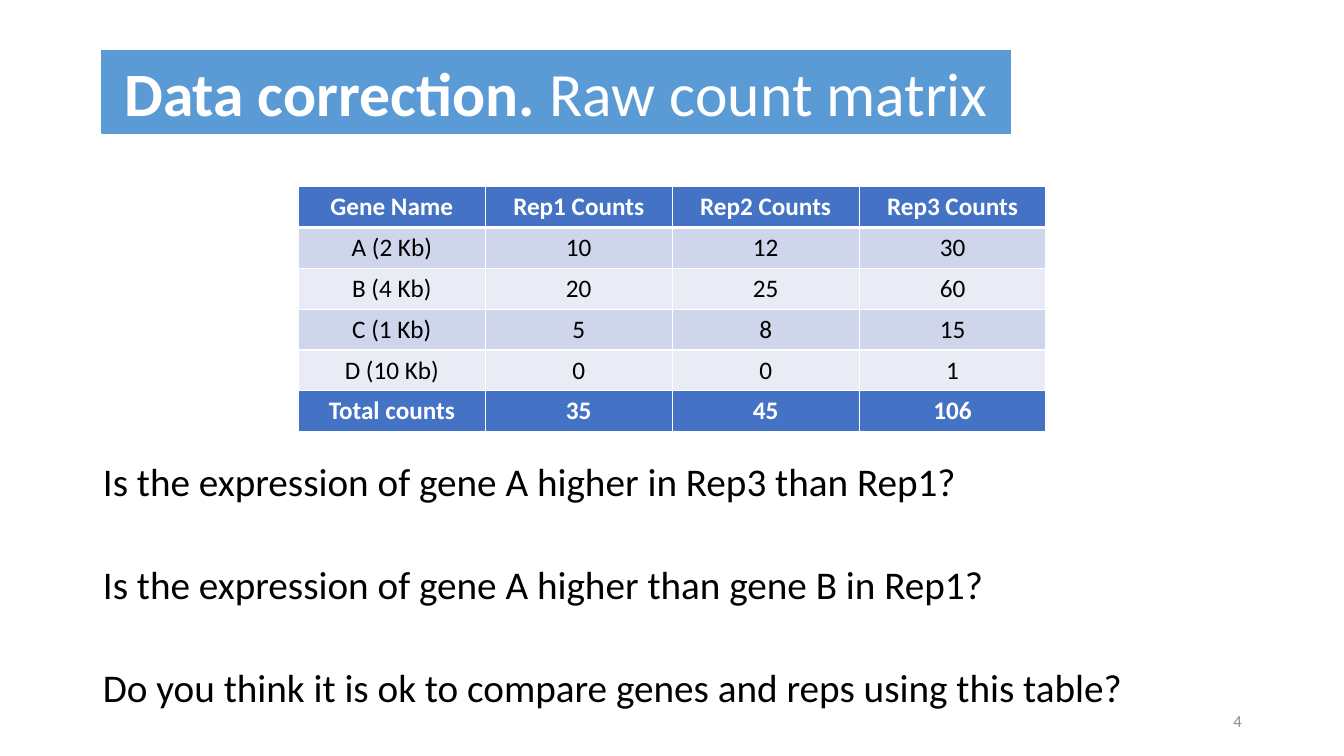
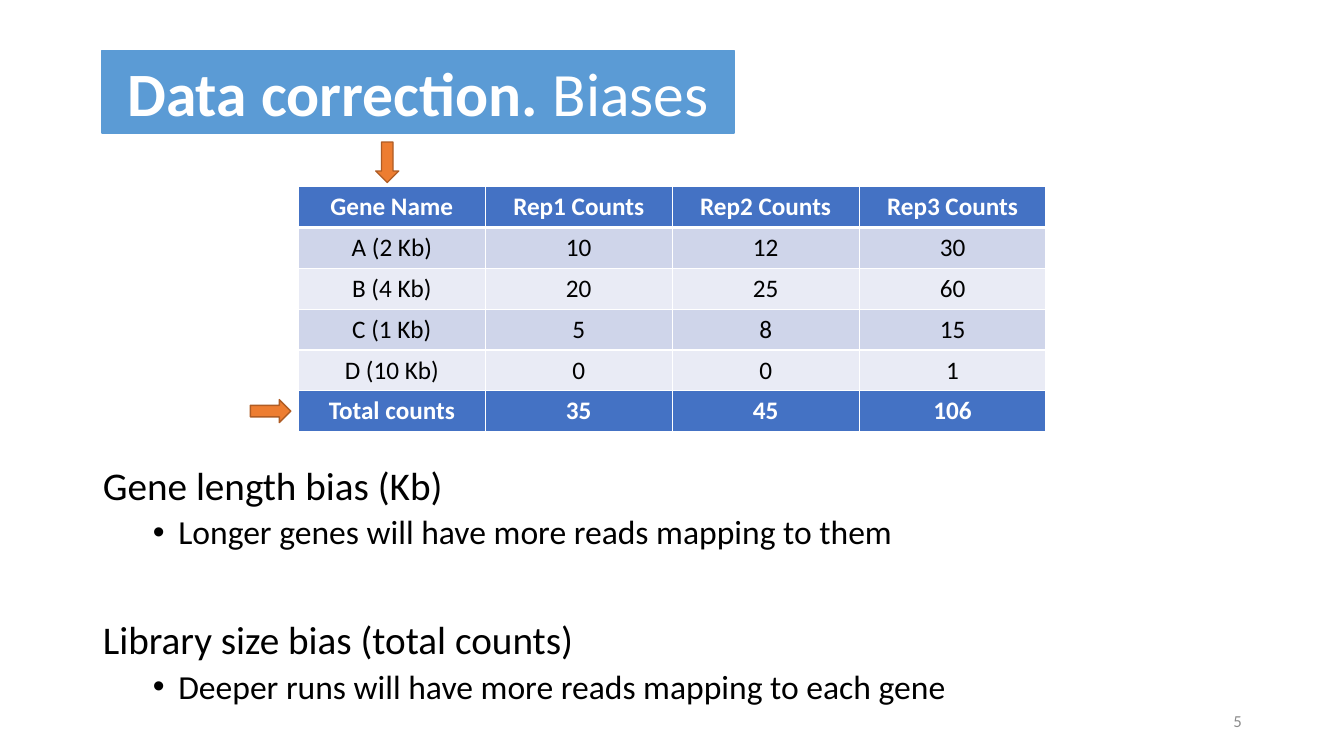
import dataclasses
import typing

import lxml.etree
import pptx
import pptx.dml.color
import pptx.enum.shapes
import pptx.enum.text
import pptx.oxml.ns
import pptx.util

Cm = pptx.util.Cm
Pt = pptx.util.Pt
RGBColor = pptx.dml.color.RGBColor
MSO_SHAPE = pptx.enum.shapes.MSO_SHAPE
PP_ALIGN = pptx.enum.text.PP_ALIGN
MSO_ANCHOR = pptx.enum.text.MSO_ANCHOR
MSO_AUTO_SIZE = pptx.enum.text.MSO_AUTO_SIZE
qn = pptx.oxml.ns.qn

# Shared colours and text formats
WHITE = RGBColor(0xFF, 0xFF, 0xFF)
BLACK = RGBColor(0x00, 0x00, 0x00)
GREY = RGBColor(0x8C, 0x8C, 0x8C)
TITLE_BLUE = RGBColor(0x5B, 0x9B, 0xD5)
TABLE_BLUE = RGBColor(0x44, 0x72, 0xC4)
BAND_DARK = RGBColor(0xCF, 0xD5, 0xEA)
BAND_LIGHT = RGBColor(0xE9, 0xEB, 0xF5)
ORANGE = RGBColor(0xED, 0x7D, 0x31)
ORANGE_LINE = RGBColor(0xAF, 0x5C, 0x24)

FONT = "Calibri"
TITLE_FORMAT = {"name": FONT, "size": Pt(44)}
HEADING_FORMAT = {"name": FONT, "size": Pt(28)}
BULLET_FORMAT = {"name": FONT, "size": Pt(24)}
TABLE_FORMAT = {"name": FONT, "size": Pt(18)}
NUMBER_FORMAT = {"name": FONT, "size": Pt(12)}

COUNTS = [
    ("Gene Name", "Rep1 Counts", "Rep2 Counts", "Rep3 Counts"),
    ("A (2 Kb)", "10", "12", "30"),
    ("B (4 Kb)", "20", "25", "60"),
    ("C (1 Kb)", "5", "8", "15"),
    ("D (10 Kb)", "0", "0", "1"),
    ("Total counts", "35", "45", "106"),
]
COL_WIDTH, ROW_HEIGHT = 4.71, 1.03


class Box(typing.NamedTuple):
    """Left, top, width and height in centimetres."""
    left: float
    top: float
    width: float
    height: float

    def lengths(self) -> list:
        return [Cm(v) for v in self]


@dataclasses.dataclass
class Line:
    text: str
    space_before: float = 0
    bullet: bool = False


@dataclasses.dataclass
class Arrow:
    kind: typing.Any
    box: Box


@dataclasses.dataclass
class Page:
    number: int
    topic: str
    title_width: float
    line_spacing: float
    lines: list[Line]
    arrows: list[Arrow] = dataclasses.field(default_factory=list)


PAGES = [
    Page(4, "Raw count matrix", 22.89, 0.8, [
        Line("Is the expression of gene A higher in Rep3 than Rep1?"),
        Line("Is the expression of gene A higher than gene B in Rep1?", 46.5),
        Line("Do you think it is ok to compare genes and reps using this table?", 46.5),
    ]),
    Page(5, "Biases", 15.93, 0.9, [
        Line("Gene length bias (Kb)"),
        Line("Longer genes will have more reads mapping to them", 5, True),
        Line("Library size bias (total counts)", 49),
        Line("Deeper runs will have more reads mapping to each gene", 5, True),
    ], [
        Arrow(MSO_SHAPE.DOWN_ARROW, Box(9.47, 3.58, 0.58, 1.02)),
        Arrow(MSO_SHAPE.RIGHT_ARROW, Box(6.31, 10.07, 1.02, 0.58)),
    ]),
]


def set_attrs(obj: typing.Any, values: dict) -> None:
    for name, value in values.items():
        setattr(obj, name, value)


def place(sp: typing.Any, box: Box) -> None:
    set_attrs(sp, dict(zip(("left", "top", "width", "height"), box.lengths())))


def add_run(p: typing.Any, text: str, fmt: dict, color: RGBColor, bold: bool = False) -> None:
    r = p.add_run()
    r.text = text
    set_attrs(r.font, {**fmt, "bold": bold})
    r.font.color.rgb = color


def paint(sp: typing.Any, fill: RGBColor, line: RGBColor) -> None:
    sp.fill.solid()
    sp.fill.fore_color.rgb = fill
    sp.line.color.rgb = line
    sp.line.width = Pt(1)


def draw_title(s: typing.Any, page: Page) -> None:
    sp = s.shapes.title
    place(sp, Box(2.57, 1.27, page.title_width, 2.08))
    # Rounded outline for the title placeholder
    geom = lxml.etree.SubElement(sp.element.spPr, qn("a:prstGeom"), prst="roundRect")
    lxml.etree.SubElement(geom, qn("a:avLst"))
    paint(sp, TITLE_BLUE, TITLE_BLUE)
    set_attrs(sp.text_frame, {"word_wrap": True, "auto_size": MSO_AUTO_SIZE.NONE,
                              "vertical_anchor": MSO_ANCHOR.MIDDLE})
    p = sp.text_frame.paragraphs[0]
    set_attrs(p, {"alignment": PP_ALIGN.CENTER, "line_spacing": 1.0})
    add_run(p, "Data correction. ", TITLE_FORMAT, WHITE, bold=True)
    add_run(p, page.topic, TITLE_FORMAT, WHITE)


def set_bullet(p: typing.Any, bullet: bool) -> None:
    pPr = p._p.get_or_add_pPr()
    pPr.set("marL", str(Cm(1.9) if bullet else 0))
    pPr.set("indent", str(Cm(-0.64) if bullet else 0))
    if bullet:
        lxml.etree.SubElement(pPr, qn("a:buFont"), typeface="Arial")
        lxml.etree.SubElement(pPr, qn("a:buChar"), char="•")
    else:
        lxml.etree.SubElement(pPr, qn("a:buNone"))


def draw_body(s: typing.Any, page: Page) -> None:
    sp = s.placeholders[1]
    place(sp, Box(2.34, 11.63, 29.21, 6.68))
    tf = sp.text_frame
    set_attrs(tf, {"word_wrap": True, "auto_size": MSO_AUTO_SIZE.NONE,
                   "vertical_anchor": MSO_ANCHOR.TOP})
    for i, line in enumerate(page.lines):
        p = tf.add_paragraph() if i else tf.paragraphs[0]
        set_bullet(p, line.bullet)
        set_attrs(p, {"level": int(line.bullet), "alignment": PP_ALIGN.LEFT,
                      "line_spacing": page.line_spacing,
                      "space_before": Pt(line.space_before), "space_after": Pt(0)})
        add_run(p, line.text, BULLET_FORMAT if line.bullet else HEADING_FORMAT, BLACK)


def set_borders(cell: typing.Any, row: int) -> None:
    tcPr = cell._tc.get_or_add_tcPr()
    widths = {"lnL": 1, "lnR": 1, "lnT": 3 if row == 1 else 1, "lnB": 3 if row == 0 else 1}
    for side, width in widths.items():
        ln = lxml.etree.SubElement(tcPr, qn(f"a:{side}"), w=str(Pt(width)))
        fill = lxml.etree.SubElement(ln, qn("a:solidFill"))
        lxml.etree.SubElement(fill, qn("a:srgbClr"), val=str(WHITE))


def draw_table(s: typing.Any) -> None:
    n_rows, n_cols = len(COUNTS), len(COUNTS[0])
    box = Box(7.52, 4.7, n_cols * COL_WIDTH, n_rows * ROW_HEIGHT)
    table = s.shapes.add_table(n_rows, n_cols, *box.lengths()).table
    for col in table.columns:
        col.width = Cm(COL_WIDTH)
    for i, values in enumerate(COUNTS):
        table.rows[i].height = Cm(ROW_HEIGHT)
        strong = i in (0, n_rows - 1)
        band = TABLE_BLUE if strong else (BAND_LIGHT, BAND_DARK)[i % 2]
        for j, value in enumerate(values):
            cell = table.cell(i, j)
            set_borders(cell, i)
            cell.fill.solid()
            cell.fill.fore_color.rgb = band
            p = cell.text_frame.paragraphs[0]
            p.alignment = PP_ALIGN.CENTER
            add_run(p, value, TABLE_FORMAT, WHITE if strong else BLACK, strong)


def draw_number(s: typing.Any, number: int) -> None:
    tf = s.shapes.add_textbox(*Box(23.93, 17.65, 7.62, 1.02).lengths()).text_frame
    set_attrs(tf, {"word_wrap": True, "vertical_anchor": MSO_ANCHOR.MIDDLE})
    p = tf.paragraphs[0]
    p.alignment = PP_ALIGN.RIGHT
    add_run(p, str(number), NUMBER_FORMAT, GREY)


def draw_arrow(s: typing.Any, arrow: Arrow) -> None:
    sp = s.shapes.add_shape(arrow.kind, *arrow.box.lengths())
    sp.shadow.inherit = False
    paint(sp, ORANGE, ORANGE_LINE)


def main() -> None:
    prs = pptx.Presentation()
    set_attrs(prs, {"slide_width": Cm(33.87), "slide_height": Cm(19.05)})
    for page in PAGES:
        s = prs.slides.add_slide(prs.slide_layouts[1])
        draw_title(s, page)
        draw_body(s, page)
        draw_table(s)
        draw_number(s, page.number)
        for arrow in page.arrows:
            draw_arrow(s, arrow)
    prs.save("out.pptx")


if __name__ == "__main__":
    main()
